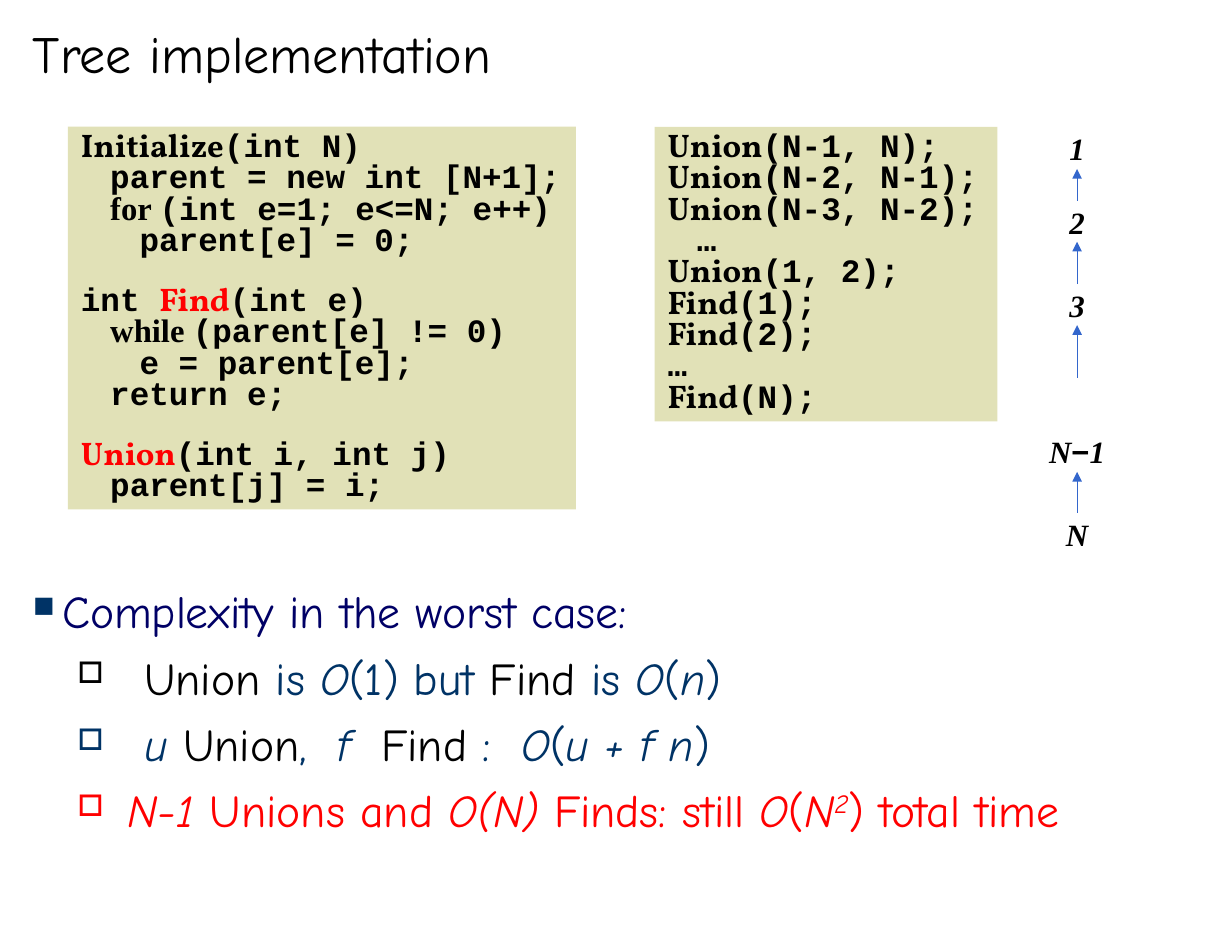
from lxml import etree
from pptx import Presentation
from pptx.dml.color import RGBColor
from pptx.enum.shapes import MSO_CONNECTOR, MSO_SHAPE
from pptx.enum.text import MSO_ANCHOR, MSO_AUTO_SIZE, PP_ALIGN
from pptx.oxml.ns import qn
from pptx.util import Inches, Pt

LEFT, CENTER = PP_ALIGN.LEFT, PP_ALIGN.CENTER
TOP, MIDDLE = MSO_ANCHOR.TOP, MSO_ANCHOR.MIDDLE
GROW, FIXED = MSO_AUTO_SIZE.SHAPE_TO_FIT_TEXT, MSO_AUTO_SIZE.NONE
RECTANGLE, STRAIGHT = MSO_SHAPE.RECTANGLE, MSO_CONNECTOR.STRAIGHT

HAND, SERIF, NAME, CODE = "Comic Neue", "Times New Roman", "Vollkorn", "Courier New"
BLACK, RED, NAVY, INDIGO = "000000", "FF0000", "003366", "000066"
BLUE, SAND = "3366CC", "E1E1B7"


def color(value):
    return RGBColor.from_string(value)


def add_text(para, text, font=HAND, size=28, fill=BLACK, bold=False, italic=False, raised=0):
    span = para.add_run()
    span.text = text
    span.font.name, span.font.size = font, Pt(size)
    span.font.bold, span.font.italic = bold, italic
    span.font.color.rgb = color(fill)
    if raised:
        span.font._element.set("baseline", str(raised * 1000))


def add_child(parent, tag, **attributes):
    child = etree.SubElement(parent, qn(tag))
    for key, value in attributes.items():
        child.set(key, str(value))
    return child


def format_frame(frame, anchor=TOP, wrap=True, fit=FIXED):
    frame.auto_size, frame.word_wrap, frame.vertical_anchor = fit, wrap, anchor
    frame.margin_left = frame.margin_right = Inches(0.11)
    frame.margin_top = frame.margin_bottom = Inches(0.05)


def next_para(frame, index):
    return frame.add_paragraph() if index else frame.paragraphs[0]


def set_title(page, left, top, width, height, text):
    title = page.shapes.title
    title.left, title.top = Inches(left), Inches(top)
    title.width, title.height = Inches(width), Inches(height)
    format_frame(title.text_frame, anchor=MIDDLE)
    para = title.text_frame.paragraphs[0]
    para.alignment = LEFT
    add_text(para, text, size=32)


def add_code(page, left, top, width, height, lines):
    """Each line is a list of (text, format) spans; an empty line opens a gap."""
    box = page.shapes.add_shape(RECTANGLE, Inches(left), Inches(top), Inches(width), Inches(height))
    box.shadow.inherit = False
    box.fill.solid()
    box.fill.fore_color.rgb = color(SAND)
    box.line.fill.background()
    frame = box.text_frame
    format_frame(frame, fit=GROW)
    gap = 0
    for index, line in enumerate(line for line in lines):
        if not line:
            gap = 17.5
            continue
        para = next_para(frame, index)
        para.alignment, para.line_spacing = LEFT, 0.8
        para.space_before, gap = Pt(gap), 0
        stops = add_child(para._p.get_or_add_pPr(), "a:tabLst")
        for step in range(1, 8):
            add_child(stops, "a:tab", pos=Inches(0.25 * step), algn="l")
        for text, style in line:
            add_text(para, text, **{"font": CODE, "size": 20, "bold": True, **style})


def add_chain(page, left, top, nodes, arrows):
    """Nodes are (offset, spans); arrows are (from, to) offsets below top."""
    width, height = 0.7, 0.36
    chain = page.shapes.add_group_shape().shapes
    for offset, spans in nodes:
        box = chain.add_textbox(Inches(left), Inches(top + offset), Inches(width), Inches(height))
        format_frame(box.text_frame, anchor=MIDDLE, wrap=False)
        para = box.text_frame.paragraphs[0]
        para.alignment = CENTER
        for text, style in spans:
            add_text(para, text, **{"font": SERIF, "size": 19, "bold": True, "italic": True, **style})
    middle = Inches(left + width / 2)
    for start, end in arrows:
        arrow = chain.add_connector(STRAIGHT, middle, Inches(top + start), middle, Inches(top + end))
        arrow.line.color.rgb = color(BLUE)
        arrow.line.width = Pt(0.74)
        add_child(arrow.line._get_or_add_ln(), "a:tailEnd", type="triangle")
        add_child(arrow._element.spPr, "a:effectLst")


def add_bullets(page, left, top, width, height, items):
    """Items are (mark, mark colour, mark position, text position, spans)."""
    box = page.shapes.add_textbox(Inches(left), Inches(top), Inches(width), Inches(height))
    frame = box.text_frame
    format_frame(frame)
    for index, (mark, mark_color, mark_at, text_at, spans) in enumerate(items):
        para = next_para(frame, index)
        para.space_before = Pt(7)
        para.level = 1 if index else 0
        props = para._p.get_or_add_pPr()
        props.set("marL", str(Inches(text_at)))
        props.set("indent", str(Inches(mark_at) - Inches(text_at)))
        add_child(add_child(props, "a:buClr"), "a:srgbClr", val=mark_color)
        add_child(props, "a:buSzPct", val=65000)
        add_child(props, "a:buChar", char=mark)
        for text, style in spans:
            add_text(para, text, **style)


# Text styles
name, red_name, keyword, code = {"font": NAME}, {"font": NAME, "fill": RED}, {"font": SERIF}, {}
black, navy, navy_italic = {}, {"fill": NAVY}, {"fill": NAVY, "italic": True}
red, red_italic = {"fill": RED}, {"fill": RED, "italic": True}

deck = Presentation()
deck.slide_width, deck.slide_height = Inches(10.5), Inches(8)
page = deck.slides.add_slide(deck.slide_layouts[5])
set_title(page, 0.17, 0, 10.1, 0.89, "Tree implementation")

# Complexity summary
add_bullets(page, 0.17, 4.92, 10.07, 2.64, [
    ("■", NAVY, 0, 0.25, [("Complexity in the worst case:", {"fill": INDIGO})]),
    ("□", BLACK, 0.38, 0.95, [
        ("Union", black), (" is ", navy), ("O", navy_italic), ("(1) but ", navy), ("Find", black),
        (" is ", navy), ("O", navy_italic), ("(", navy), ("n", navy_italic), (")", navy)]),
    ("□", NAVY, 0.38, 0.95, [
        ("u ", navy_italic), ("Union", black), (",  ", navy), ("f  ", navy_italic), ("Find", black),
        (" :  ", navy), ("O", navy_italic), ("(", navy), ("u + f n", navy_italic), (")", navy)]),
    ("□", RED, 0.38, 0.81, [
        ("N-1 ", red_italic), ("Unions and ", red), ("O(N) ", red_italic), ("Finds: still ", red),
        ("O", red_italic), ("(", red), ("N", red_italic), ("2", {**red_italic, "raised": 30}),
        (") total time", red)]),
])

# Function definitions
add_code(page, 0.58, 1.08, 4.33, 3.26, [
    [("Initialize", name), ("(int N)", code)],
    [("\tparent = new int [N+1];", code)],
    [("\t", code), ("for ", keyword), ("(int e=1; e<=N; e++)", code)],
    [("\t\tparent[e] = 0;", code)],
    [],
    [("int ", code), ("Find", red_name), ("(int e)", code)],
    [("\t", code), ("while ", keyword), ("(parent[e] != 0)", code)],
    [("\t\te = parent[e];", code)],
    [("\treturn e;", code)],
    [],
    [("Union", red_name), ("(int i, int j)", code)],
    [("\tparent[j] = i;", code)],
])

# Worst-case sequence of calls
calls = [("Union", "(N-1, N);"), ("Union", "(N-2, N-1);"), ("Union", "(N-3, N-2);"), ("", "\t…"),
         ("Union", "(1, 2);"), ("Find", "(1);"), ("Find", "(2);"), ("", "…"), ("Find", "(N);")]
add_code(page, 5.58, 1.08, 2.92, 2.51, [
    [(text, style) for text, style in ((call, name), (rest, code)) if text] for call, rest in calls])

# Resulting tree
add_chain(page, 8.83, 1.08, [
    (0, [("1", {})]),
    (0.63, [("2", {})]),
    (1.34, [("3", {})]),
    (2.58, [("N", {}), ("−", {"font": "Arial", "italic": False}), ("1", {})]),
    (3.29, [("N", {})]),
], [(0.63, 0.36), (1.34, 0.98), (2.14, 1.69), (3.29, 2.94)])

deck.save("out.pptx")
